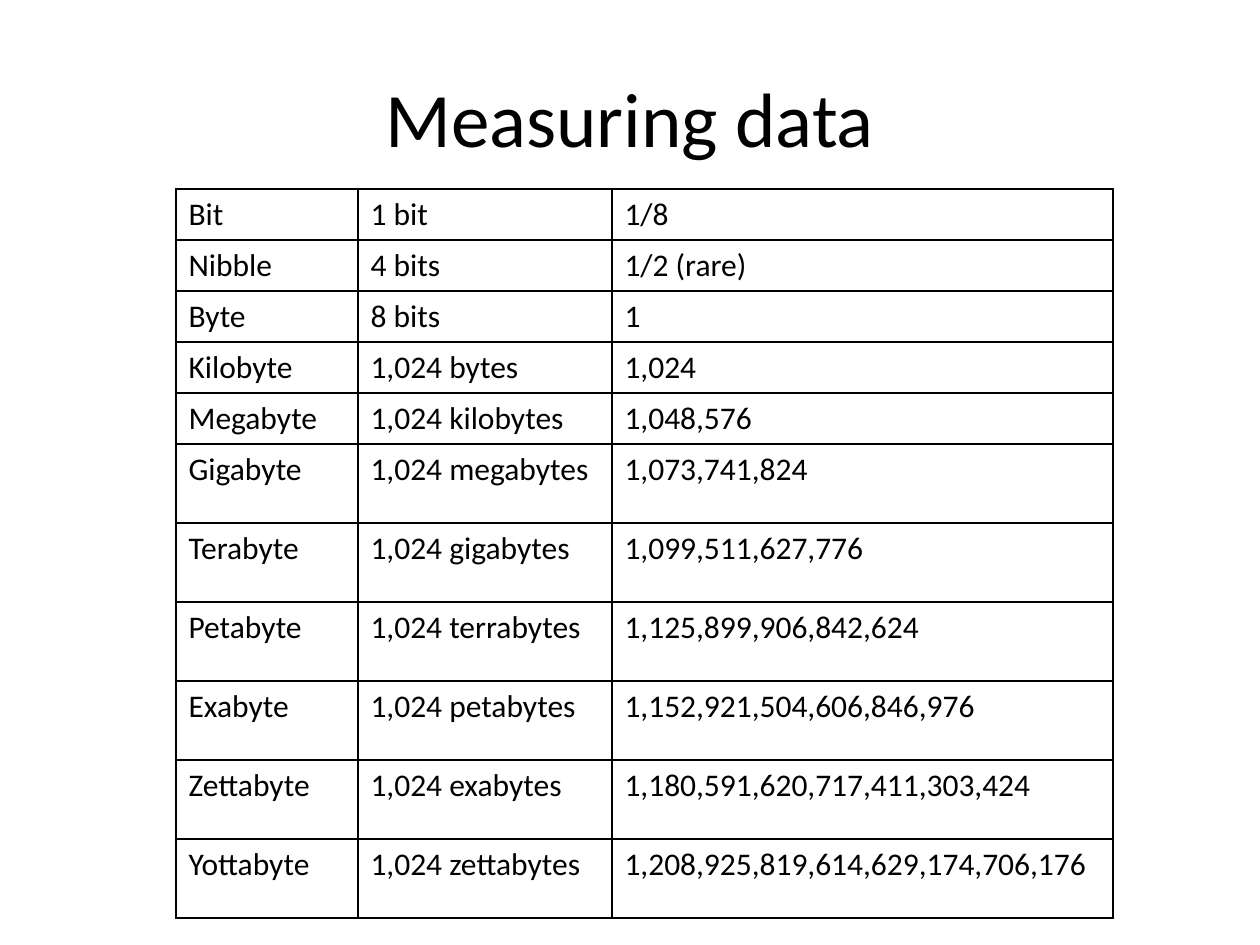
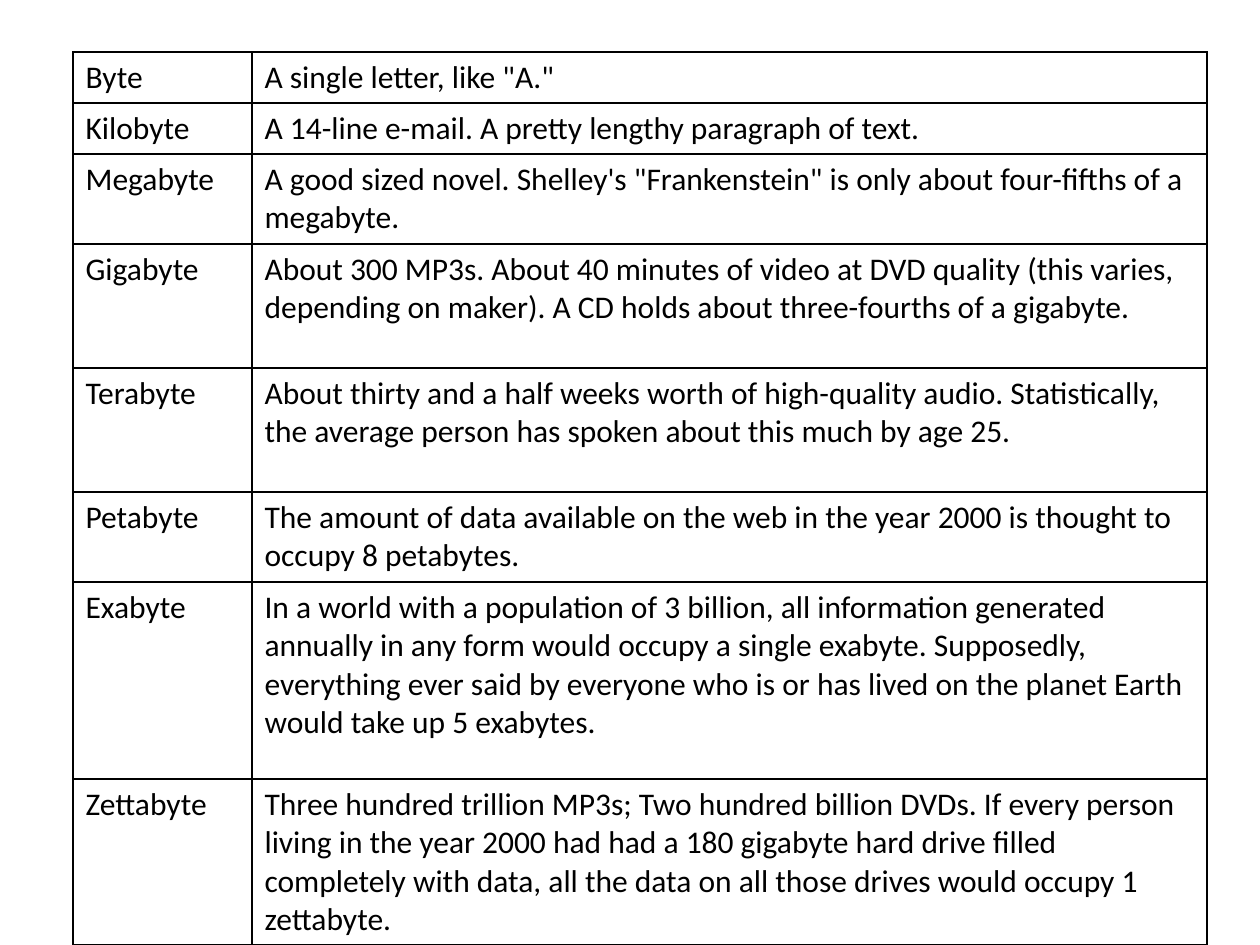
from lxml.etree import SubElement
from pptx import Presentation
from pptx.dml.color import RGBColor
from pptx.enum.text import MSO_ANCHOR, PP_ALIGN
from pptx.oxml.ns import qn
from pptx.util import Emu, Pt

UNITS = [
    ("Bit", "1 bit", "1/8"),
    ("Nibble", "4 bits", "1/2 (rare)"),
    ("Byte", "8 bits", "1"),
    ("Kilobyte", "1,024 bytes", "1,024"),
    ("Megabyte", "1,024 kilobytes", "1,048,576"),
    ("Gigabyte", "1,024 megabytes", "1,073,741,824"),
    ("Terabyte", "1,024 gigabytes", "1,099,511,627,776"),
    ("Petabyte", "1,024 terrabytes", "1,125,899,906,842,624"),
    ("Exabyte", "1,024 petabytes", "1,152,921,504,606,846,976"),
    ("Zettabyte", "1,024 exabytes", "1,180,591,620,717,411,303,424"),
    ("Yottabyte", "1,024 zettabytes", "1,208,925,819,614,629,174,706,176"),
]

EXAMPLES = [
    ("Byte", 'A single letter, like "A."'),
    ("Kilobyte", "A 14-line e-mail. A pretty lengthy paragraph of text."),
    ("Megabyte", "A good sized novel. Shelley's \"Frankenstein\" is only about "
                 "four-fifths of a megabyte."),
    ("Gigabyte", "About 300 MP3s. About 40 minutes of video at DVD quality (this varies, "
                 "depending on maker). A CD holds about three-fourths of a gigabyte."),
    ("Terabyte", "About thirty and a half weeks worth of high-quality audio. Statistically, "
                 "the average person has spoken about this much by age 25."),
    ("Petabyte", "The amount of data available on the web in the year 2000 is thought to "
                 "occupy 8 petabytes."),
    ("Exabyte", "In a world with a population of 3 billion, all information generated "
                "annually in any form would occupy a single exabyte. Supposedly, "
                "everything ever said by everyone who is or has lived on the planet Earth "
                "would take up 5 exabytes."),
    ("Zettabyte", "Three hundred trillion MP3s; Two hundred billion DVDs. If every person "
                  "living in the year 2000 had had a 180 gigabyte hard drive filled "
                  "completely with data, all the data on all those drives would occupy 1 "
                  "zettabyte."),
]


def px(length):
    """Turn px, 126 to the inch, into EMU."""
    return Emu(round(length * 914400 / 126))


def color(code):
    """Turn a hex string into a colour."""
    return RGBColor.from_string(code)


def write(frame, text, size=18, ink="000000", font="Calibri", align=PP_ALIGN.LEFT):
    """Put one formatted paragraph into a text frame."""
    para = frame.paragraphs[0]
    para.alignment = align
    span = para.add_run()
    span.text = text
    span.font.size = Pt(size)
    span.font.name = font
    span.font.color.rgb = color(ink)


class Builder:
    """Holds the shared style and the current page."""

    ink = "000000"
    paper = "FFFFFF"
    title_size = 44
    border = Pt(1)

    def __init__(self, deck):
        """Start with a deck and no page."""
        self.deck = deck
        self.page = None

    def new_page(self):
        """Add a blank page with the shared background."""
        self.page = self.deck.slides.add_slide(self.deck.slide_layouts[6])
        fill = self.page.background.fill
        fill.solid()
        fill.fore_color.rgb = color(self.paper)

    def title(self, text):
        """Add the centred page title."""
        box = self.page.shapes.add_textbox(px(63), px(38), px(1134), px(158))
        box.text_frame.word_wrap = True
        box.text_frame.vertical_anchor = MSO_ANCHOR.MIDDLE
        write(box.text_frame, text, size=self.title_size, ink=self.ink, align=PP_ALIGN.CENTER)

    def outline(self, cell):
        """Draw a thin line on all four sides of a cell."""
        properties = cell._tc.get_or_add_tcPr()
        for side in ("a:lnL", "a:lnR", "a:lnT", "a:lnB"):
            line = SubElement(properties, qn(side), w=str(self.border))
            fill = SubElement(line, qn("a:solidFill"))
            SubElement(fill, qn("a:srgbClr"), val=self.ink)

    def table(self, left, top, widths, heights, rows):
        """Add a plain ruled table."""
        table = self.page.shapes.add_table(
            len(rows), len(widths), px(left), px(top), px(sum(widths)), px(sum(heights))
        ).table
        table.first_row = False
        table.horz_banding = False
        for column, width in zip(table.columns, widths):
            column.width = px(width)
        for row, height, texts in zip(table.rows, heights, rows):
            row.height = px(height)
            for cell, text in zip(row.cells, texts):
                self.outline(cell)
                cell.fill.background()
                write(cell.text_frame, text, ink=self.ink)


def main():
    """Build both pages and save the deck."""
    deck = Presentation()
    deck.slide_width, deck.slide_height = px(1260), px(945)
    builder = Builder(deck)

    builder.new_page()
    builder.title("Measuring data")
    builder.table(176, 189, [182, 254, 501], [51] * 5 + [79] * 6, UNITS)

    builder.new_page()
    builder.table(73, 52, [179, 955], [51, 51, 90, 124, 124, 90, 197, 166], EXAMPLES)

    deck.save("out.pptx")


if __name__ == "__main__":
    main()
